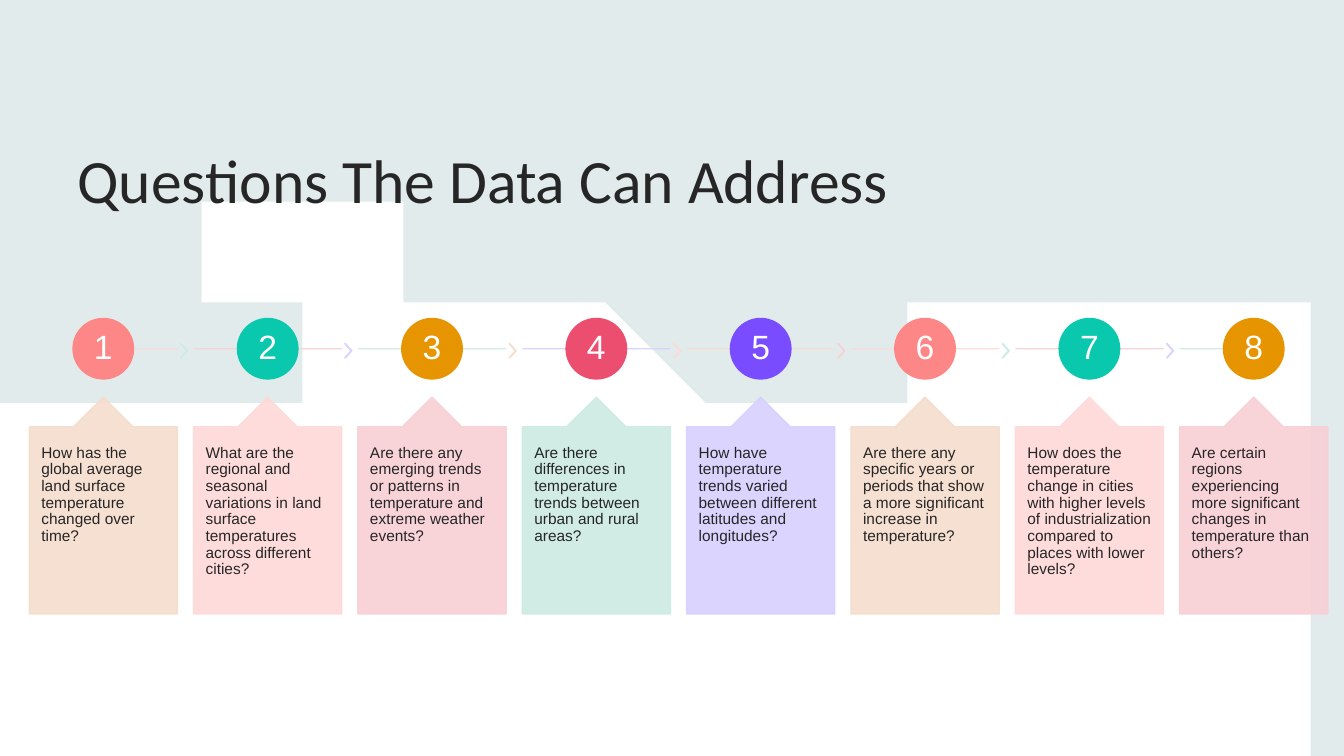
from math import cos, pi, sin

from pptx import Presentation
from pptx.dml.color import RGBColor
from pptx.enum.shapes import MSO_CONNECTOR as LINE, MSO_SHAPE as SHAPE
from pptx.enum.text import MSO_ANCHOR as ANCHOR, PP_ALIGN as ALIGN
from pptx.oxml.ns import qn
from pptx.oxml.xmlchemy import OxmlElement
from pptx.util import Inches, Pt

TITLE = "Questions The Data Can Address"
QUESTIONS = [
    "How has the global average land surface temperature changed over time?",
    "What are the regional and seasonal variations in land surface temperatures across different cities?",
    "Are there any emerging trends or patterns in temperature and extreme weather events?",
    "Are there differences in temperature trends between urban and rural areas?",
    "How have temperature trends varied between different latitudes and longitudes?",
    "Are there any specific years or periods that show a more significant increase in temperature?",
    "How does the temperature change in cities with higher levels of industrialization compared to places with lower levels?",
    "Are certain regions experiencing more significant changes in temperature than others?",
]
TINTS = ["F5DDCC", "FED9D9", "F8D0D5", "CCEBE3", "D7D0FF"]
STRONG = ["FD8686", "0AC8AD", "E69500", "EC4E70", "794DFF"]
INK, WHITE, BASE, SHADE = "262626", "FFFFFF", "E9F3F3", "AEAEAE"

WIDTH, HEIGHT = 13.33, 7.5
LEFT, PITCH, CARD_W = 0.29, 1.63, 1.47
CARD_TOP, CARD_H = 3.94, 2.15
RAIL_Y, CIRCLE = 3.46, 0.6
CHEVRON_X, CHEVRON_W, CHEVRON_H = 1.5, 0.07, 0.14

BUBBLES = [(3.55, 2.59, 0.25), (2.54, 2.94, 0.49)]
WAVE_START = (0, 3.81)
WAVE = [
    [(0.02, 3.8), (0.05, 3.78), (0.07, 3.77)],
    [(0.44, 3.58), (0.82, 3.59), (1.22, 3.67)],
    [(1.65, 3.76), (2.1, 3.83), (2.54, 3.83)],
    [(2.95, 3.84), (3.23, 3.53), (3.5, 3.26)],
    [(4.16, 2.57), (4.92, 2.37), (5.68, 2.76)],
    [(5.98, 2.91), (6.23, 3.18), (6.46, 3.44)],
    [(7.07, 4.13), (7.82, 4.15), (8.53, 3.79)],
    [(9.03, 3.54), (9.51, 3.23), (10.04, 3.02)],
    [(11.17, 2.56), (12.27, 2.58), (13.24, 3.23)],
]
STEPS = 16


def rgb(value):
    return RGBColor.from_string(value)


def fade(s, percent):
    for color in s._element.spPr.iter(qn("a:srgbClr")):
        alpha = OxmlElement("a:alpha")
        alpha.set("val", str(percent * 1000))
        color.append(alpha)


def paint(s, color, percent=100, outlined=True):
    s.shadow.inherit = False
    s.fill.solid()
    s.fill.fore_color.rgb = rgb(color)
    if outlined:
        s.line.color.rgb = rgb(color)
        s.line.width = Pt(1)
    else:
        s.line.fill.background()
    if percent < 100:
        fade(s, percent)


def add_shape(kind, x, y, w, h, color, percent=100, outlined=True, adjust=()):
    s = slide.shapes.add_shape(kind, Inches(x), Inches(y), Inches(w), Inches(h))
    for i, value in enumerate(adjust):
        s.adjustments[i] = value
    paint(s, color, percent, outlined)
    return s


def write(s, text, size, font, color, anchor, align, inset, spacing=None):
    tf = s.text_frame
    tf.word_wrap = True
    tf.vertical_anchor = anchor
    tf.margin_left = tf.margin_right = Inches(inset[0])
    tf.margin_top = tf.margin_bottom = Inches(inset[1])
    p = tf.paragraphs[0]
    p.alignment = align
    if spacing:
        p.line_spacing = spacing
    r = p.add_run()
    r.text = text
    r.font.size, r.font.name = Pt(size), font
    r.font.color.rgb = rgb(color)


def add_rail(x1, x2, color):
    s = slide.shapes.add_connector(LINE.STRAIGHT, Inches(x1), Inches(RAIL_Y), Inches(x2), Inches(RAIL_Y))
    s.line.color.rgb = rgb(color)
    s.line.width = Pt(1)
    fade(s, 90)
    s._element.spPr.append(OxmlElement("a:effectLst"))


def circle_points(cx, cy, radius):
    turns = [2 * pi * i / (4 * STEPS) for i in range(4 * STEPS)]
    return [(cx + radius * cos(t), cy + radius * sin(t)) for t in turns]


def wave_points():
    points = [WAVE_START]
    for b, c, d in WAVE:
        a = points[-1]
        for t in [i / STEPS for i in range(1, STEPS + 1)]:
            u = 1 - t
            weights = (u ** 3, 3 * u * u * t, 3 * u * t * t, t ** 3)
            points.append(tuple(sum(k * q[axis] for k, q in zip(weights, (a, b, c, d))) for axis in (0, 1)))
    return points + [(WIDTH, 3.3), (WIDTH, HEIGHT), (0, HEIGHT)]


def add_wave():
    outlines = [wave_points()] + [circle_points(*bubble) for bubble in BUBBLES]
    builder = slide.shapes.build_freeform(*WAVE_START, scale=Inches(1) / 1.0)
    for i, outline in enumerate(outlines):
        if i:
            builder.move_to(*outline[0])
        builder.add_line_segments(outline[1:], close=True)
    paint(builder.convert_to_shape(), WHITE, outlined=False)


def add_step(i, question):
    x = LEFT + i * PITCH
    middle = x + CARD_W / 2
    last = len(QUESTIONS) - 1
    tint = lambda shift: TINTS[(i + shift) % len(TINTS)]
    add_rail(x if i else middle, x + CARD_W if i < last else middle, tint(1))
    if i < last:
        add_shape(SHAPE.CHEVRON, x + CHEVRON_X, RAIL_Y - CHEVRON_H / 2 + 0.02, CHEVRON_W, CHEVRON_H,
                  tint(3), 90, adjust=[0.9])
    s = add_shape(SHAPE.OVAL, middle - CIRCLE / 2, RAIL_Y - CIRCLE / 2, CIRCLE, CIRCLE, STRONG[i % len(STRONG)])
    write(s, str(i + 1), 24, "Arial", WHITE, ANCHOR.MIDDLE, ALIGN.CENTER, (0.02, 0.02), 0.9)
    s = add_shape(SHAPE.UP_ARROW_CALLOUT, x, CARD_TOP, CARD_W, CARD_H, tint(0), 90, adjust=[0.5, 0.2, 0.2, 1])
    write(s, question, 11, "Arial", INK, ANCHOR.TOP, ALIGN.LEFT, (0.12, 0.18), 0.9)


def main():
    """Build the slide of eight numbered questions and save it."""
    for color, percent in [(BASE, 100), (SHADE, 10)]:
        add_shape(SHAPE.RECTANGLE, 0, 0, WIDTH, HEIGHT, color, percent, outlined=False)
    add_wave()
    s = slide.shapes.add_textbox(Inches(0.67), Inches(0.61), Inches(12), Inches(1.58))
    write(s, TITLE, 44, "Calibri", INK, ANCHOR.BOTTOM, ALIGN.LEFT, (0.1, 0.05))
    for i, question in enumerate(QUESTIONS):
        add_step(i, question)
    prs.save("out.pptx")


if __name__ == "__main__":
    prs = Presentation()
    prs.slide_width, prs.slide_height = Inches(WIDTH), Inches(HEIGHT)
    slide = prs.slides.add_slide(prs.slide_layouts[6])
    slide.background.fill.solid()
    slide.background.fill.fore_color.rgb = rgb(BASE)
    main()
